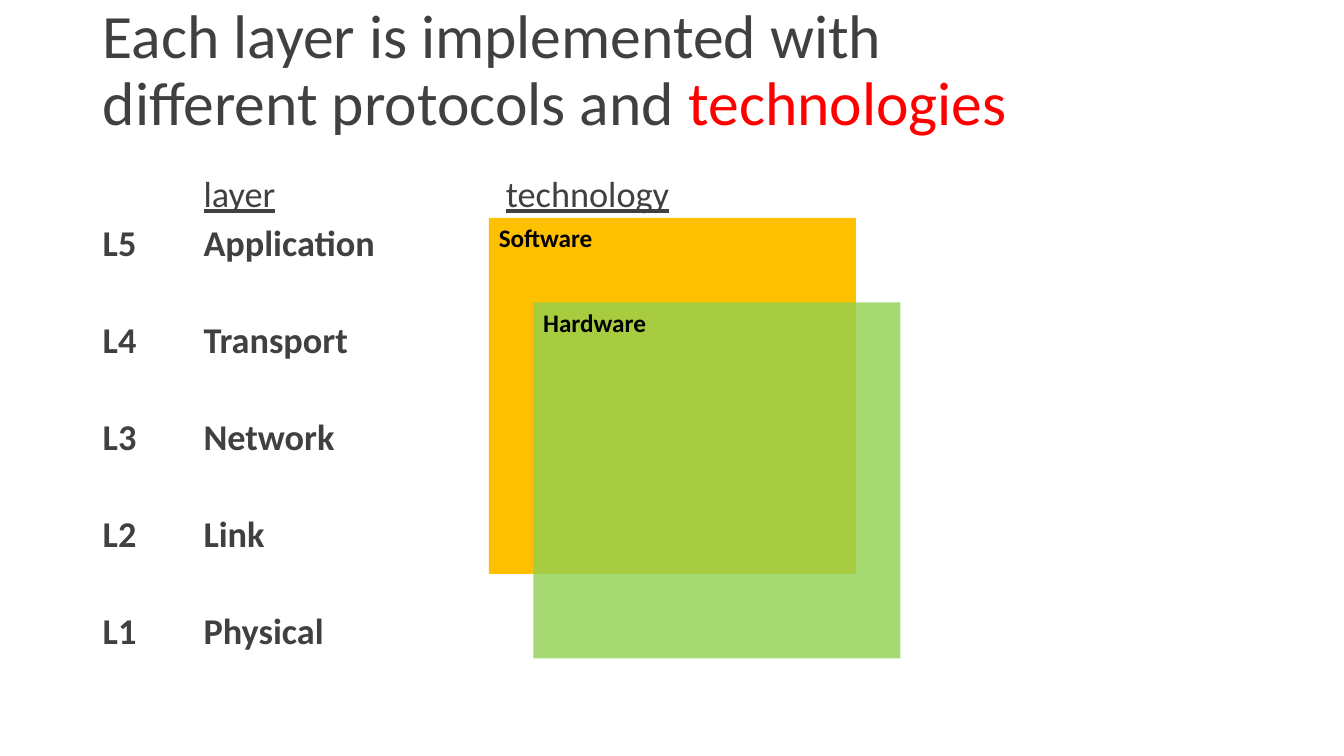
"""Build a slide that sets the five network layers beside their technologies."""
import dataclasses

import lxml.etree
import pptx
import pptx.dml.color
import pptx.enum.shapes
import pptx.enum.text
import pptx.oxml.ns
import pptx.slide
import pptx.text.text
import pptx.util

Cm = pptx.util.Cm
Pt = pptx.util.Pt
qn = pptx.oxml.ns.qn

FONT = "Calibri"
COLORS = {
    "text": "404040",
    "accent": "FF0000",
    "label": "000000",
    "amber": "FFC000",
    "green": "92D050",
}
LEFT, WIDTH = 2.34, 29.21
TABS = (2.54, 10.16)
LAYERS = ("Application", "Transport", "Network", "Link", "Physical")


@dataclasses.dataclass
class Card:
    label: str
    left: float
    top: float
    color: str
    alpha: int = 100


CARDS = (
    Card("Software", 12.32, 5.49, "amber"),
    Card("Hardware", 13.44, 7.62, "green", 80),
)


def get_color(name: str) -> pptx.dml.color.RGBColor:
    return pptx.dml.color.RGBColor.from_string(COLORS[name])


def style(run: pptx.text.text._Run, size: float, color: str, bold: bool = False) -> None:
    run.font.name = FONT
    run.font.size = Pt(size)
    run.font.bold = bold
    run.font.color.rgb = get_color(color)


def add_box(slide: pptx.slide.Slide, top: float, height: float) -> pptx.text.text.TextFrame:
    frame = slide.shapes.add_textbox(Cm(LEFT), Cm(top), Cm(WIDTH), Cm(height)).text_frame
    frame.word_wrap = True
    return frame


def add_title(slide: pptx.slide.Slide) -> None:
    frame = add_box(slide, -0.03, 3.68)
    frame.vertical_anchor = pptx.enum.text.MSO_ANCHOR.MIDDLE
    line = frame.paragraphs[0]
    line.text = "Each layer is implemented with\vdifferent protocols and "
    line.line_spacing = 0.9
    for run in line.runs:
        style(run, 44, "text")
    accent = line.add_run()
    accent.text = "technologies"
    style(accent, 44, "accent")


def add_tabs(line: pptx.text.text._Paragraph) -> None:
    stops = lxml.etree.SubElement(line._p.get_or_add_pPr(), qn("a:tabLst"))
    for stop in TABS:
        lxml.etree.SubElement(stops, qn("a:tab"), pos=str(Cm(stop)), algn="l")


def add_layers(slide: pptx.slide.Slide) -> None:
    frame = add_box(slide, 4.4, 12.75)
    count = len(LAYERS)
    rows = [f"L{count - index}\t{name}" for index, name in enumerate(LAYERS)]
    frame.text = "\n".join(["\tlayer\ttechnology", *rows])
    for index, line in enumerate(frame.paragraphs):
        add_tabs(line)
        line.line_spacing = 0.8
        if index:
            line.space_before = Pt(10 if index == 1 else 44.5)
        for run in line.runs:
            style(run, 25.9, "text", bold=index > 0)
            run.font.underline = index == 0


def add_card(slide: pptx.slide.Slide, card: Card) -> None:
    shape = slide.shapes.add_shape(
        pptx.enum.shapes.MSO_SHAPE.RECTANGLE,
        Cm(card.left), Cm(card.top), Cm(9.25), Cm(8.97),
    )
    shape.shadow.inherit = False
    shape.line.fill.background()
    shape.fill.solid()
    shape.fill.fore_color.rgb = get_color(card.color)
    if card.alpha < 100:
        tint = shape._element.spPr.find(f"{qn('a:solidFill')}/{qn('a:srgbClr')}")
        lxml.etree.SubElement(tint, qn("a:alpha"), val=str(card.alpha * 1000))
    frame = shape.text_frame
    frame.text = card.label
    frame.vertical_anchor = pptx.enum.text.MSO_ANCHOR.TOP
    line = frame.paragraphs[0]
    line.alignment = pptx.enum.text.PP_ALIGN.LEFT
    style(line.runs[0], 18, "label", bold=True)


def main() -> None:
    deck = pptx.Presentation()
    deck.slide_width, deck.slide_height = Cm(33.87), Cm(19.05)
    slide = deck.slides.add_slide(deck.slide_layouts[6])
    add_layers(slide)
    add_title(slide)
    for card in CARDS:
        add_card(slide, card)
    deck.save("out.pptx")


if __name__ == "__main__":
    main()
